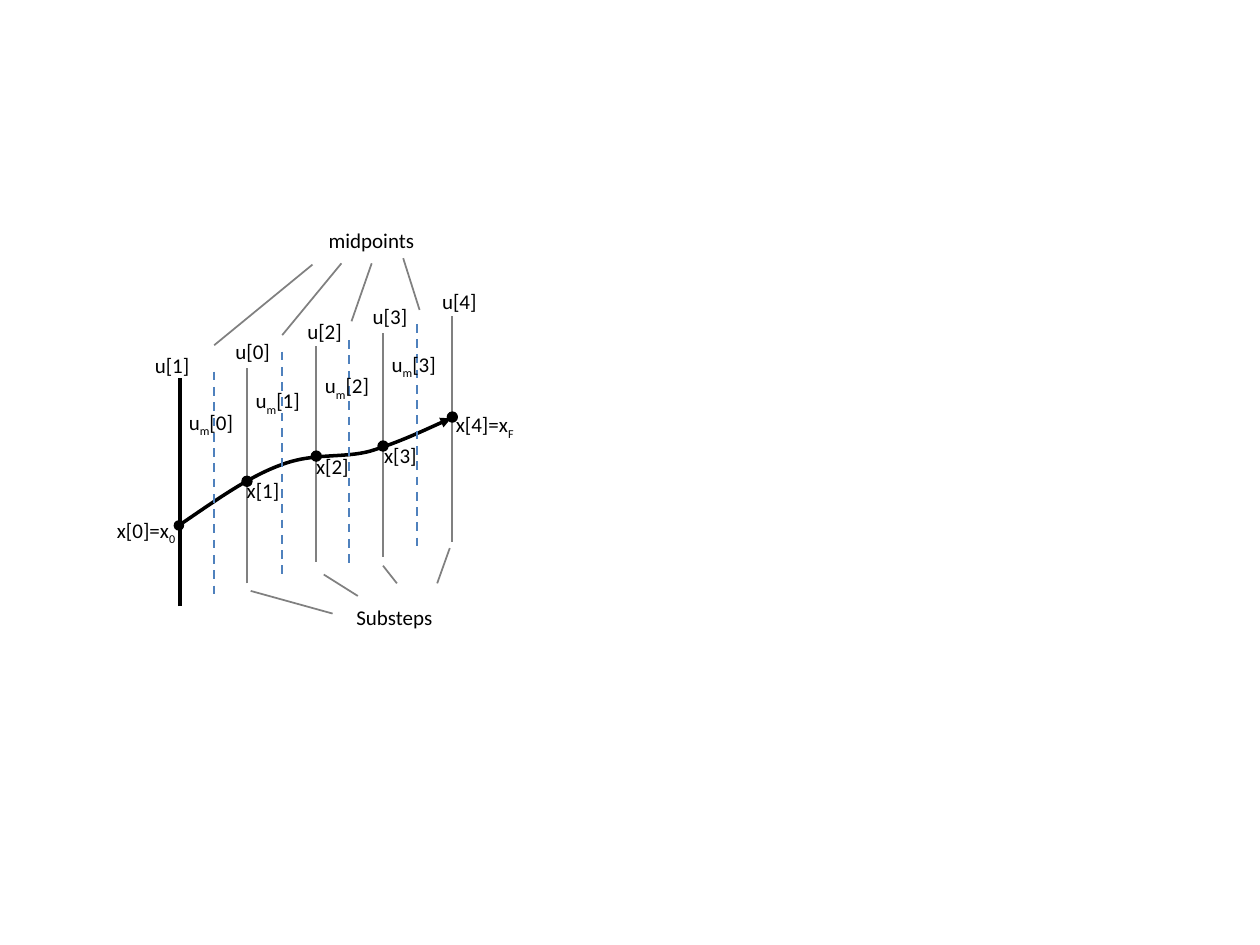
from typing import NamedTuple

from lxml.etree import SubElement
from pptx import Presentation
from pptx.dml.color import RGBColor
from pptx.enum.dml import MSO_LINE
from pptx.enum.shapes import MSO_CONNECTOR, MSO_SHAPE
from pptx.oxml.ns import qn
from pptx.util import Inches, Pt

BLACK = RGBColor(0x00, 0x00, 0x00)
GRAY = RGBColor(0x80, 0x80, 0x80)
BLUE = RGBColor(0x4F, 0x81, 0xBD)
DOT_SIZE = 0.08
LABEL_HEIGHT = 0.3


class Segment(NamedTuple):
    x1: float
    y1: float
    x2: float
    y2: float


class Label(NamedTuple):
    left: float
    top: float
    width: float
    text: str
    subscript: str = ""
    ending: str = ""


class Point(NamedTuple):
    x: float
    y: float


SUBSTEP_LINES = [
    Segment(3.59, 4.3, 3.59, 2.51),
    Segment(1.42, 4.81, 1.42, 3.02),
    Segment(1.96, 4.63, 1.96, 2.92),
    Segment(3.04, 4.42, 3.04, 2.64),
    Segment(2.51, 4.46, 2.51, 2.75),
]
MIDPOINT_LINES = [
    Segment(x, top, x, top + 1.77)
    for x, top in [(1.7, 2.95), (2.24, 2.79), (2.77, 2.7), (3.31, 2.57)]
]
POINTERS = [
    Segment(2.57, 4.56, 2.84, 4.73),
    Segment(3.04, 4.49, 3.15, 4.63),
    Segment(3.57, 4.35, 3.47, 4.63),
    Segment(1.99, 4.69, 2.64, 4.87),
    Segment(2.95, 2.09, 2.79, 2.55),
    Segment(3.2, 2.05, 3.33, 2.46),
    Segment(2.48, 2.1, 1.7, 2.74),
    Segment(2.71, 2.09, 2.24, 2.66),
]
START_LINE = Segment(1.43, 4.81, 1.43, 3)
DOTS = [Point(1.92, 3.78), Point(2.47, 3.58), Point(3, 3.5), Point(3.55, 3.27)]
CURVE_START = Point(1.42, 4.17)
CURVE_PARTS = [
    (Point(1.7, 3.98), Point(1.98, 3.78), Point(2.23, 3.69)),
    (Point(2.49, 3.59), Point(2.72, 3.64), Point(2.94, 3.58)),
    (Point(3.17, 3.51), Point(3.44, 3.38), Point(3.58, 3.32)),
]
LABELS = [
    Label(2.51, 1.76, 1.16, "midpoints"),
    Label(2.73, 4.75, 0.94, "Substeps"),
    Label(0.83, 4.06, 0.8, "x[0]=x", "0"),
    Label(1.86, 3.74, 0.58, "x[1]"),
    Label(2.41, 3.55, 0.58, "x[2]"),
    Label(2.95, 3.46, 0.58, "x[3]"),
    Label(3.52, 3.22, 0.8, "x[4]=x", "F"),
    Label(1.13, 2.75, 0.58, "u[1]"),
    Label(1.77, 2.64, 0.58, "u[0]"),
    Label(2.34, 2.48, 0.58, "u[2]"),
    Label(2.86, 2.36, 0.58, "u[3]"),
    Label(3.41, 2.24, 0.58, "u[4]"),
    Label(1.4, 3.2, 0.77, "u", "m", "[0]"),
    Label(1.93, 3.03, 0.77, "u", "m", "[1]"),
    Label(2.48, 2.91, 0.77, "u", "m", "[2]"),
    Label(3.01, 2.74, 0.77, "u", "m", "[3]"),
]


def draw_line(page, segment: Segment, color: RGBColor, width: float, dashed: bool = False) -> None:
    line = page.shapes.add_connector(MSO_CONNECTOR.STRAIGHT, *map(Inches, segment))
    line.line.color.rgb = color
    line.line.width = Pt(width)
    if dashed:
        line.line.dash_style = MSO_LINE.DASH
    SubElement(line.element.spPr, qn("a:effectLst"))


def draw_trajectory(page) -> None:
    ends = [part[-1] for part in CURVE_PARTS]
    builder = page.shapes.build_freeform(Inches(CURVE_START.x), Inches(CURVE_START.y))
    builder.add_line_segments([(Inches(end.x), Inches(end.y)) for end in ends], close=False)
    curve = builder.convert_to_shape()
    curve.shadow.inherit = False
    curve.fill.background()
    curve.line.color.rgb = BLACK
    curve.line.width = Pt(2)
    for straight, part in zip(list(curve.element.iter(qn("a:lnTo"))), CURVE_PARTS):
        straight.tag = qn("a:cubicBezTo")
        straight.clear()
        for point in part:
            SubElement(straight, qn("a:pt"), x=str(Inches(point.x) - curve.left),
                       y=str(Inches(point.y) - curve.top))
    outline = curve.element.spPr.find(qn("a:ln"))
    SubElement(outline, qn("a:headEnd"), type="oval")
    SubElement(outline, qn("a:tailEnd"), type="triangle")


def draw_dot(page, corner: Point) -> None:
    size = Inches(DOT_SIZE)
    dot = page.shapes.add_shape(MSO_SHAPE.OVAL, Inches(corner.x), Inches(corner.y), size, size)
    dot.shadow.inherit = False
    dot.fill.solid()
    dot.fill.fore_color.rgb = BLACK
    dot.line.color.rgb = BLACK
    dot.line.width = Pt(0.75)


def add_span(para, text: str, *, size: float = 12, baseline: int = 0) -> None:
    span = para.add_run()
    span.text = text
    span.font.name = "Calibri"
    span.font.size = Pt(size)
    span.font.color.rgb = BLACK
    if baseline:
        span.font._element.set("baseline", str(baseline * 1000))


def draw_label(page, label: Label) -> None:
    box = page.shapes.add_textbox(Inches(label.left), Inches(label.top),
                                  Inches(label.width), Inches(LABEL_HEIGHT))
    box.text_frame.word_wrap = True
    para = box.text_frame.paragraphs[0]
    for text, baseline in [(label.text, 0), (label.subscript, -25), (label.ending, 0)]:
        if text:
            add_span(para, text, baseline=baseline)


def main() -> None:
    deck = Presentation()
    deck.slide_width = Inches(10)
    deck.slide_height = Inches(7.5)
    page = deck.slides.add_slide(deck.slide_layouts[6])
    for segment in SUBSTEP_LINES:
        draw_line(page, segment, GRAY, 1.25)
    draw_trajectory(page)
    for segment in MIDPOINT_LINES:
        draw_line(page, segment, BLUE, 1.25, dashed=True)
    for segment in POINTERS:
        draw_line(page, segment, GRAY, 1)
    for corner in DOTS:
        draw_dot(page, corner)
    for label in LABELS:
        draw_label(page, label)
    draw_line(page, START_LINE, BLACK, 2)
    deck.save("out.pptx")


main()
